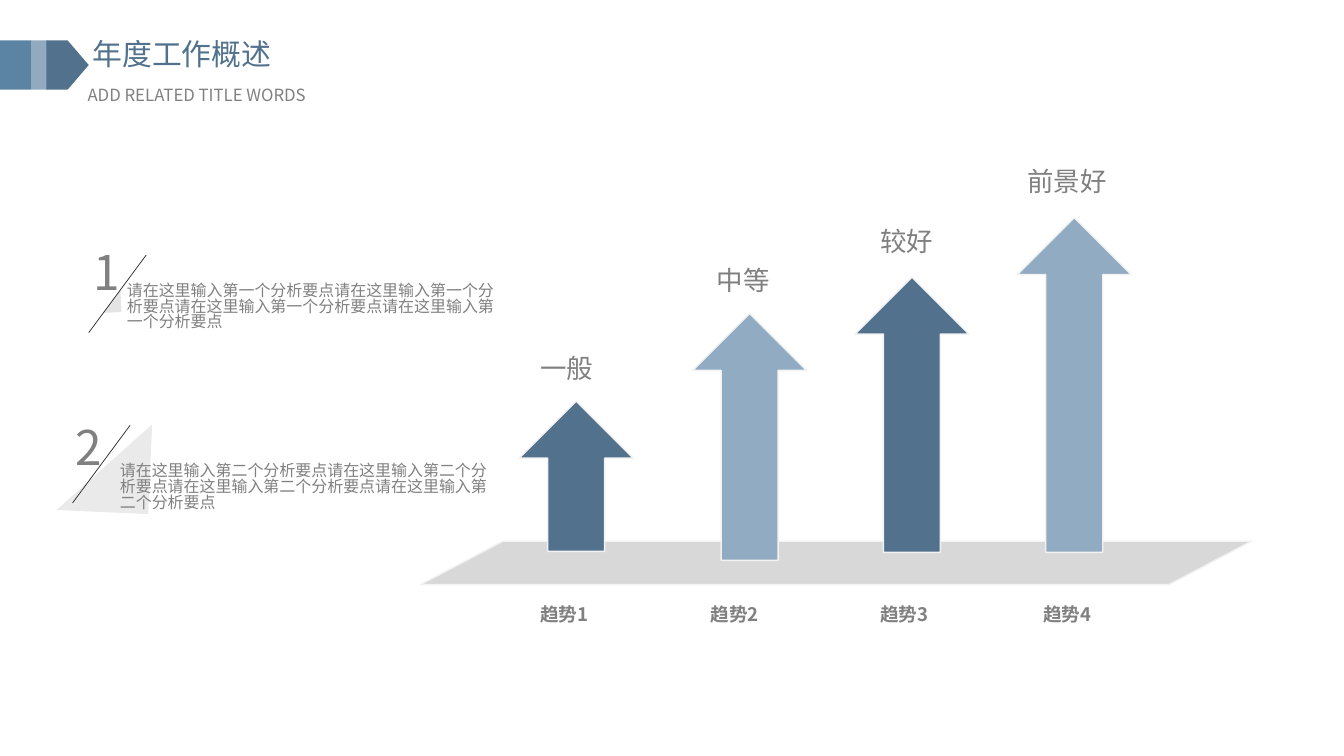
from lxml import etree
from pptx import Presentation
from pptx import util as u
from pptx.dml.color import RGBColor
from pptx.enum import shapes as es, text as et
from pptx.oxml import ns

FONT = "Noto Sans CJK SC"
NAVY = RGBColor(0x51, 0x71, 0x8D)
BLUE = RGBColor(0x5B, 0x83, 0xA4)
PALE = RGBColor(0x91, 0xAA, 0xC0)
SKY = RGBColor(0x91, 0xAC, 0xC2)
GREY = RGBColor(0x80, 0x80, 0x80)
FLOOR = RGBColor(0xD8, 0xD8, 0xD8)
EDGE = RGBColor(0xF2, 0xF2, 0xF2)
INK = RGBColor(0x26, 0x26, 0x26)
MIST = RGBColor(0xE4, 0xE4, 0xE4)
HAZE = RGBColor(0xEA, 0xEA, 0xEA)
KIND = es.MSO_SHAPE


def style(obj, **vals):
    """Set each named attribute on an object."""
    for key, val in vals.items():
        setattr(obj, key, val)


def write(slide, box, words, size, color=GREY, bold=False, align=et.PP_ALIGN.LEFT):
    """Add a wrapped text box whose line height is about 1.2 times the size."""
    frame = slide.shapes.add_textbox(*map(u.Inches, box)).text_frame
    style(frame, word_wrap=True, auto_size=et.MSO_AUTO_SIZE.SHAPE_TO_FIT_TEXT,
          margin_left=u.Inches(0.1), margin_right=u.Inches(0.05),
          margin_top=u.Inches(0.05) + u.Pt(size * 0.1), margin_bottom=0)
    para = frame.paragraphs[0]
    style(para, alignment=align, line_spacing=0.82)
    run = para.add_run()
    run.text = words
    style(run.font, name=FONT, size=u.Pt(size), bold=bold)
    run.font.color.rgb = color
    east = etree.SubElement(run.font._element, ns.qn("a:ea"))
    east.set("typeface", FONT)


def draw(slide, kind, box, fill, edge=None, turn=0, adj=()):
    """Add a flat preset shape."""
    item = slide.shapes.add_shape(kind, *map(u.Inches, box))
    item.shadow.inherit = False
    item.rotation = turn
    item.fill.solid()
    item.fill.fore_color.rgb = fill
    if edge is None:
        item.line.fill.background()
    else:
        item.line.color.rgb = edge
        item.line.width = u.Pt(1)
    for i, val in enumerate(adj):
        item.adjustments[i] = val


def header(slide, x, y):
    """Place the ribbon and the two title lines."""
    both = et.PP_ALIGN.JUSTIFY
    write(slide, (x + 0.82, y - 0.06, 2.68, 0.46), "年度工作概述", 21.3, NAVY, align=both)
    write(slide, (x + 0.77, y + 0.41, 2.97, 0.3), "ADD RELATED TITLE WORDS", 12, align=both)
    for kind, left, width, fill in (
            (KIND.RECTANGLE, 0, 0.31, BLUE),
            (KIND.RECTANGLE, 0.31, 0.16, PALE),
            (KIND.PENTAGON, 0.46, 0.42, NAVY)):
        draw(slide, kind, (x + left, y, width, 0.49), fill)


def point(slide, x, y, num, words, body, wedge, slash):
    """Place a numbered point, with its parts offset from its corner."""
    write(slide, (x, y, 0.62, 0.67), num, 34.1)
    left, top, width, height, turn, fill = wedge
    draw(slide, KIND.RIGHT_TRIANGLE, (x + left, y + top, width, height), fill, turn=turn)
    left, top = slash
    ends = (x + left, y + top, x + left - 0.57, y + top + 0.77)
    line = slide.shapes.add_connector(es.MSO_CONNECTOR.STRAIGHT, *map(u.Inches, ends))
    line.line.color.rgb = INK
    line.line.width = u.Pt(0.5)
    etree.SubElement(line._element.spPr, ns.qn("a:effectLst"))
    left, top, width = body
    write(slide, (x + left, y + top, width, 0.68), words * 4, 11.4)


def trend(slide, x, y, width, height):
    """Place the floor, the rising arrows and their labels."""
    draw(slide, KIND.PARALLELOGRAM, (x, y, width, height), FLOOR, EDGE, 180, (1.9,))
    rows = (
        ("一般", 0.98, 1.39, 1.49, 1.09, 1.9, 1.09, NAVY),
        ("中等", 2.7, 2.26, 2.45, 2.84, 2.77, 2.78, SKY),
        ("较好", 4.31, 2.62, 2.73, 4.46, 3.16, 4.46, NAVY),
        ("前景好", 5.92, 3.21, 3.32, 5.92, 3.75, 6.08, SKY))
    for i, (name, left, rise, tall, at, high, foot, fill) in enumerate(rows, 1):
        draw(slide, KIND.UP_ARROW, (x + left, y - rise, 1.13, tall), fill, EDGE, adj=(0.5, 0.5))
        write(slide, (x + at, y - high, 1.17, 0.42), name, 18.9)
        write(slide, (x + foot, y + 0.58, 1.13, 0.32), f"趋势{i}", 13.3, bold=True)


def main():
    """Build the slide and save it."""
    deck = Presentation()
    style(deck, slide_width=u.Inches(13.33), slide_height=u.Inches(7.5))
    slide = deck.slides.add_slide(deck.slide_layouts[6])
    header(slide, 0, 0.4)
    trend(slide, 4.17, 5.37, 8.24, 0.43)
    point(slide, 0.83, 2.41, "1", "请在这里输入第一个分析要点", (0.33, 0.34, 3.82),
          (0.17, 0.49, 0.22, 0.18, 267.3, MIST), (0.62, 0.12))
    point(slide, 0.65, 4.15, "2", "请在这里输入第二个分析要点", (0.44, 0.39, 3.82),
          (-0.06, 0.03, 0.89, 0.91, 272.5, HAZE), (0.64, 0.07))
    deck.save("out.pptx")


if __name__ == "__main__":
    main()
